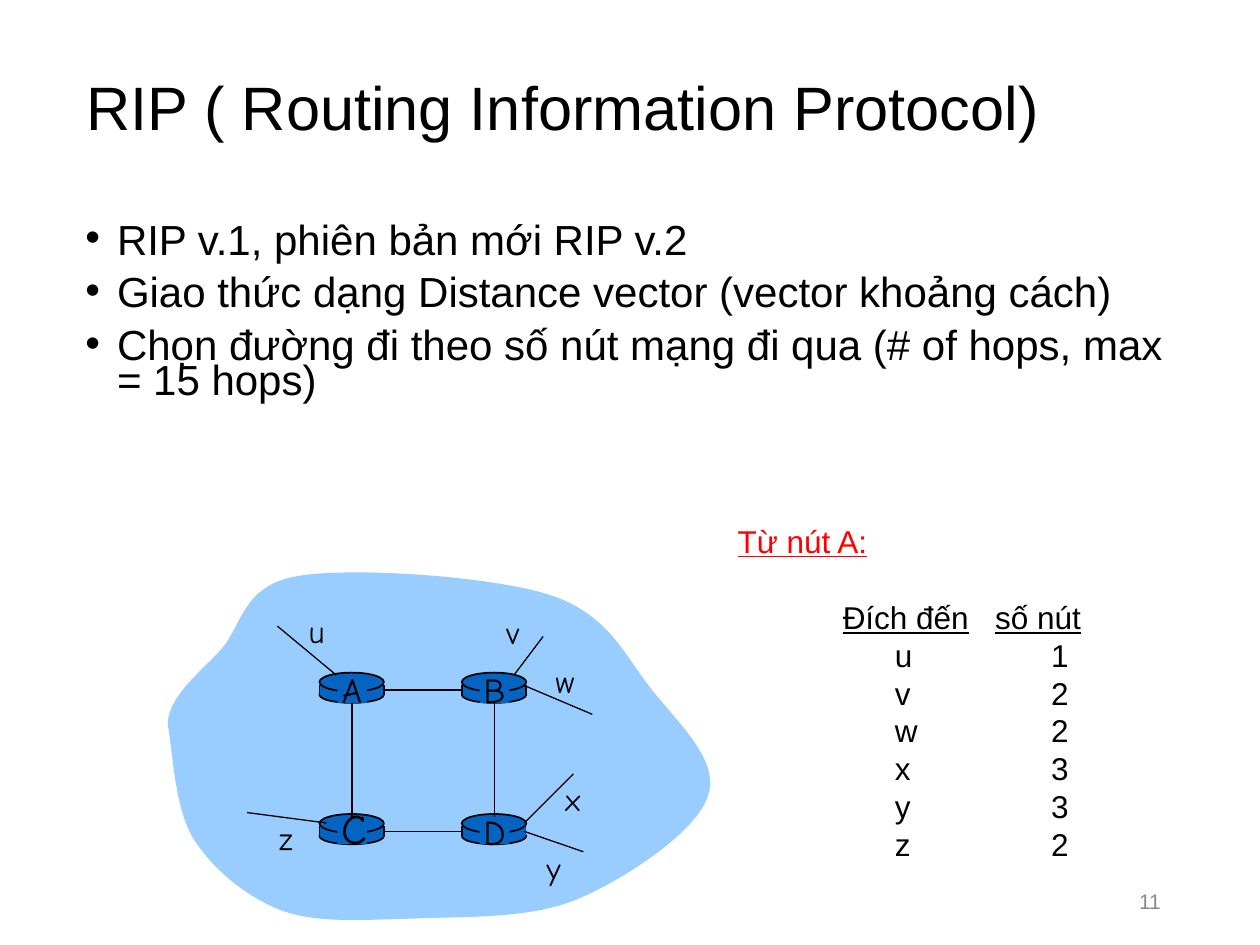
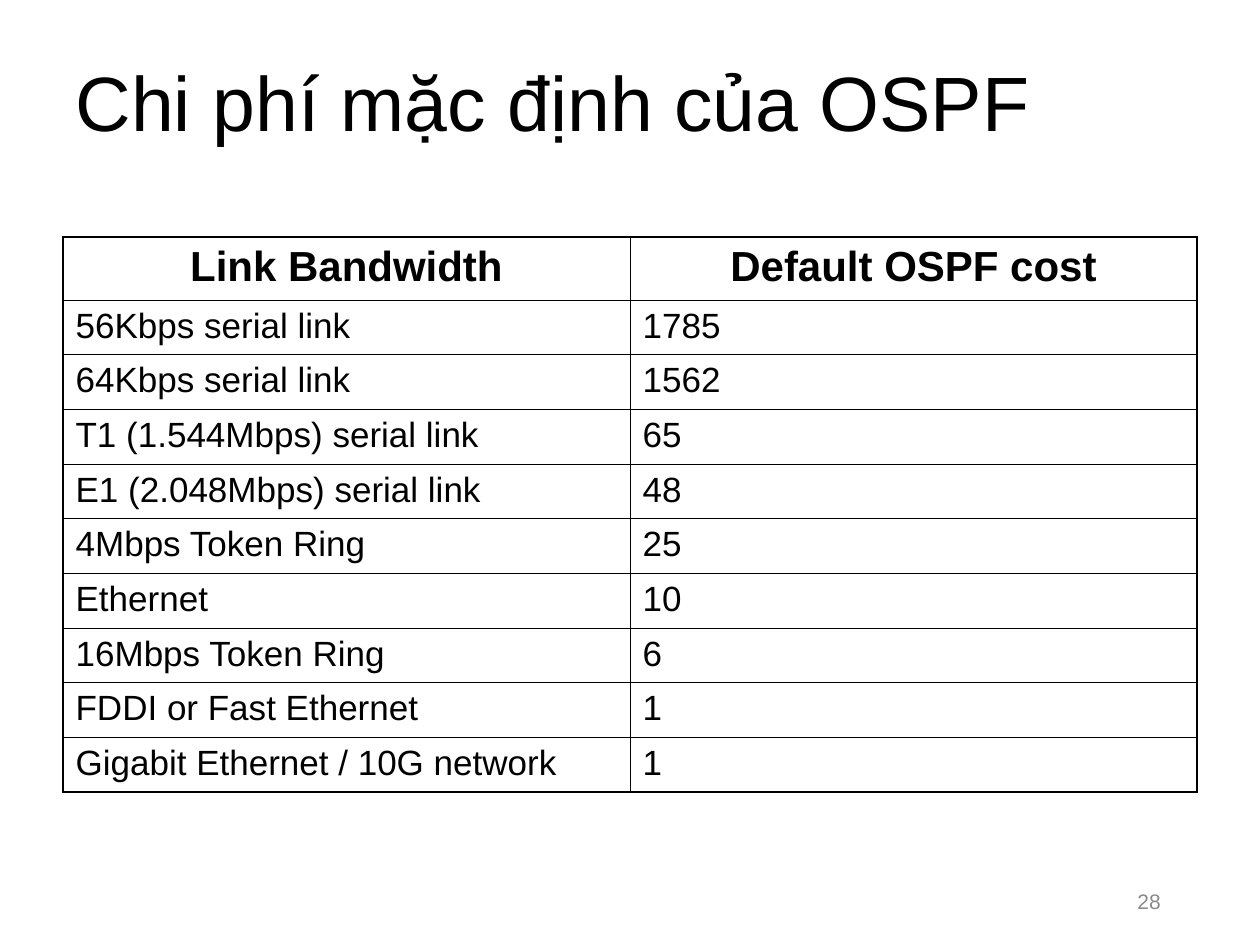
from itertools import product

from lxml.etree import SubElement
from pptx import Presentation
from pptx.dml.color import RGBColor
from pptx.enum.shapes import MSO_CONNECTOR, MSO_SHAPE
from pptx.enum.text import MSO_ANCHOR, MSO_AUTO_SIZE, PP_ALIGN
from pptx.oxml.ns import qn
from pptx.util import Cm, Pt

BLACK, RED, GREY = "000000", "FF0000", "898989"
CLOUD_BLUE, ROUTER_BLUE = "99CCFF", "0563C1"
BODY_FONT, DIAGRAM_FONT = "Arial", "Comic Neue"
rgb = RGBColor.from_string


def write(p, text, size=18, font=BODY_FONT, color=BLACK, bold=False, underline=False,
          align=PP_ALIGN.LEFT, spacing=None, before=0, bullet=False, tabs=()):
    """Fill a paragraph; a tab in the text moves to the next of tabs (cm) and is never underlined."""
    pPr = p._p.get_or_add_pPr()
    if bullet:
        pPr.set("marL", str(Cm(0.64)))
        pPr.set("indent", str(-Cm(0.64)))
        SubElement(pPr, qn("a:buFont"), typeface=BODY_FONT)
        SubElement(pPr, qn("a:buChar"), char="•")
    if tabs:
        tab_list = SubElement(pPr, qn("a:tabLst"))
        for pos in tabs:
            SubElement(tab_list, qn("a:tab"), pos=str(Cm(pos)), algn="l")
    p.alignment = align
    p.space_before = Pt(before)
    if spacing:
        p.line_spacing = spacing
    for part in text.replace("\t", "\n\t\n").split("\n"):
        if not part:
            continue
        r = p.add_run()
        r.text = part
        r.font.size, r.font.name, r.font.bold = Pt(size), font, bold
        r.font.underline = underline and part != "\t"
        r.font.color.rgb = rgb(color)


def add_line(shapes, x1, y1, x2, y2, width=1):
    line = shapes.add_connector(MSO_CONNECTOR.STRAIGHT, Cm(x1), Cm(y1), Cm(x2), Cm(y2))
    line.line.color.rgb = rgb(BLACK)
    line.line.width = Pt(width)
    SubElement(line._element.spPr, qn("a:effectLst"))
    return line


prs = Presentation()
prs.slide_width, prs.slide_height = Cm(25.4), Cm(19.05)

# Titles and page numbers
slides = []
for title, size, box, number in [
    ("RIP ( Routing Information Protocol)", 35, (1.49, 0.64, 22.71, 3.18), "11"),
    ("Chi phí mặc định của OSPF", 44, (1.27, 0.35, 20.96, 3.61), "28"),
]:
    s = prs.slides.add_slide(prs.slide_layouts[5])
    sp = s.shapes.title
    sp.left, sp.top, sp.width, sp.height = map(Cm, box)
    sp.text_frame.vertical_anchor = MSO_ANCHOR.MIDDLE
    write(sp.text_frame.paragraphs[0], title, size=size, spacing=0.9)

    tf = s.shapes.add_textbox(Cm(17.93), Cm(17.65), Cm(5.72), Cm(1.02)).text_frame
    tf.word_wrap = True
    tf.vertical_anchor = MSO_ANCHOR.MIDDLE
    write(tf.paragraphs[0], number, size=12, color=GREY, align=PP_ALIGN.RIGHT)
    slides.append(s)
rip, ospf = slides

# RIP: bullets
tf = rip.shapes.add_textbox(Cm(1.47), Cm(4.45), Cm(22.86), Cm(4.7)).text_frame
tf.word_wrap = True
for i, text in enumerate([
    "RIP v.1, phiên bản mới RIP v.2",
    "Giao thức dạng Distance vector (vector khoảng cách)",
    "Chọn đường đi theo số nút mạng đi qua (# of hops, max = 15 hops)",
]):
    p = tf.add_paragraph() if i else tf.paragraphs[0]
    write(p, text, size=24, spacing=0.7, before=10 if i else 0, bullet=True)

# RIP: network cloud, each curve as two control points and an end point
start = (3.38, 14.6)
curves = [
    ((3.4, 14.02), (4.04, 13.56), (4.47, 13.08)),
    ((4.9, 12.57), (4.9, 11.79), (6.02, 11.61)),
    ((7.11, 11.43), (9.88, 11.61), (11.07, 11.99)),
    ((12.27, 12.37), (12.6, 13.23), (13.13, 13.89)),
    ((13.67, 14.58), (14.53, 15.34), (14.27, 16.05)),
    ((14.05, 16.76), (12.6, 17.73), (11.61, 18.14)),
    ((10.62, 18.54), (9.3, 18.47), (8.31, 18.52)),
    ((7.32, 18.54), (6.43, 18.62), (5.69, 18.36)),
    ((4.95, 18.08), (4.27, 17.5), (3.89, 16.89)),
    ((3.51, 16.26), (3.48, 15.09), start),
]
builder = rip.shapes.build_freeform(*map(Cm, start))
builder.add_line_segments([(Cm(x), Cm(y)) for curve in curves for x, y in curve], close=True)
cloud = builder.convert_to_shape()
cloud.shadow.inherit = False
cloud.fill.solid()
cloud.fill.fore_color.rgb = rgb(CLOUD_BLUE)
cloud.line.fill.background()
# Every three straight segments become one Bézier curve
segments = list(cloud._element.iter(qn("a:lnTo")))
for first, second, third in zip(segments[::3], segments[1::3], segments[2::3]):
    curve = SubElement(first.getparent(), qn("a:cubicBezTo"))
    first.addprevious(curve)
    for segment in (first, second, third):
        curve.append(segment[0])
        segment.getparent().remove(segment)

# RIP: routers on a two by two grid
ROUTER_W = 1.3
bands, patches = {}, {}
for name, (row, col) in zip("ABCD", product(range(2), repeat=2)):
    x, y = 6.44 + 2.87 * col, 13.56 + 2.85 * row
    parts = []
    for kind, dx, dy, w, h in [
        (MSO_SHAPE.OVAL, 0, 0.28, ROUTER_W, 0.33),
        (MSO_SHAPE.RECTANGLE, 0, 0.25, ROUTER_W, 0.2),
        (MSO_SHAPE.OVAL, 0, 0, ROUTER_W, 0.38),
        (MSO_SHAPE.RECTANGLE, 0.36, 0.05, 0.6, 0.56),
    ]:
        sp = rip.shapes.add_shape(kind, Cm(x + dx), Cm(y + dy), Cm(w), Cm(h))
        sp.shadow.inherit = False
        sp.fill.solid()
        sp.fill.fore_color.rgb = rgb(ROUTER_BLUE)
        if kind == MSO_SHAPE.OVAL:
            sp.line.color.rgb = rgb(BLACK)
            sp.line.width = Pt(1)
        else:
            sp.line.fill.background()
        parts.append(sp)
    bands[name], patches[name] = parts[1], parts[3]
    for side in [x] if name == "D" else [x, x + ROUTER_W]:
        add_line(rip.shapes, side, y + 0.25, side, y + 0.45)

    size, rise, height = (24, 0.36, 1.27) if name == "C" else (20, 0.2, 1.12)
    tf = rip.shapes.add_textbox(Cm(x + 0.19), Cm(y - rise), Cm(0.94), Cm(height)).text_frame
    tf.word_wrap = False
    tf.auto_size = MSO_AUTO_SIZE.SHAPE_TO_FIT_TEXT
    write(tf.paragraphs[0], name, size=size, font=DIAGRAM_FONT, align=PP_ALIGN.CENTER)

# RIP: links between routers
for ends, sides, boxes in [("AB", (3, 1), bands), ("CD", (3, 1), bands),
                           ("AC", (2, 0), patches), ("BD", (2, 0), patches)]:
    link = add_line(rip.shapes, 0, 0, 1, 1)
    link.begin_connect(boxes[ends[0]], sides[0])
    link.end_connect(boxes[ends[1]], sides[1])

# RIP: attached networks, each with its line and the place of its label
for name, line, (x, y) in [
    ("u", (6.78, 13.61, 5.59, 12.62), (5.97, 12.22)),
    ("v", (10.36, 13.61, 10.95, 12.83), (9.96, 12.24)),
    ("w", (10.57, 13.82, 11.94, 14.4), (10.95, 13.23)),
    ("x", (10.57, 16.59, 11.56, 15.6), (11.15, 15.6)),
    ("y", (10.57, 16.76, 11.76, 17.17), (10.77, 16.99)),
    ("z", (6.58, 16.59, 4.98, 16.38), (5.38, 16.38)),
]:
    add_line(rip.shapes, *line, width=0.75)
    tf = rip.shapes.add_textbox(Cm(x), Cm(y), Cm(0.82), Cm(1.02)).text_frame
    tf.word_wrap = False
    tf.auto_size = MSO_AUTO_SIZE.SHAPE_TO_FIT_TEXT
    write(tf.paragraphs[0], name, font=DIAGRAM_FONT)

# RIP: hop counts from A
tf = rip.shapes.add_textbox(Cm(14.62), Cm(10.39), Cm(3.15), Cm(1.02)).text_frame
tf.word_wrap = False
write(tf.paragraphs[0], "Từ nút A:", color=RED, underline=True)

tf = rip.shapes.add_textbox(Cm(16.74), Cm(11.93), Cm(5.31), Cm(6.35)).text_frame
tf.word_wrap = True
write(tf.paragraphs[0], "Đích đến\tsố nút", underline=True, tabs=[3.07])
for network, hops in zip("uvwxyz", (1, 2, 2, 3, 3, 2)):
    write(tf.add_paragraph(), f"\t{network}\t{hops}", tabs=[1.05, 4.2])

# OSPF: cost table
rows = [
    ("Link Bandwidth", "Default OSPF cost"),
    ("56Kbps serial link", "1785"),
    ("64Kbps serial link", "1562"),
    ("T1 (1.544Mbps) serial link", "65"),
    ("E1 (2.048Mbps) serial link", "48"),
    ("4Mbps Token Ring", "25"),
    ("Ethernet", "10"),
    ("16Mbps Token Ring", "6"),
    ("FDDI or Fast Ethernet", "1"),
    ("Gigabit Ethernet / 10G network", "1"),
]
OUTER, INNER = Pt(1.08), Pt(0.45)
table = ospf.shapes.add_table(len(rows), 2, Cm(1.27), Cm(4.78), Cm(22.86), Cm(11.17)).table
table.first_row = table.horz_banding = False
for i, row in enumerate(rows):
    table.rows[i].height = Cm(1.1 if i else 1.27)
    for j, text in enumerate(row):
        cell = table.cell(i, j)
        tcPr = cell._tc.get_or_add_tcPr()
        for tag, on_edge in [("a:lnL", j == 0), ("a:lnR", j == 1),
                             ("a:lnT", i == 0), ("a:lnB", i == len(rows) - 1)]:
            ln = SubElement(tcPr, qn(tag), w=str(OUTER if on_edge else INNER))
            SubElement(SubElement(ln, qn("a:solidFill")), qn("a:srgbClr"), val=BLACK)
        cell.fill.background()
        p = cell.text_frame.paragraphs[0]
        if i:
            write(p, text, size=20)
        else:
            write(p, text, size=24, bold=True, align=PP_ALIGN.CENTER)

prs.save("out.pptx")
